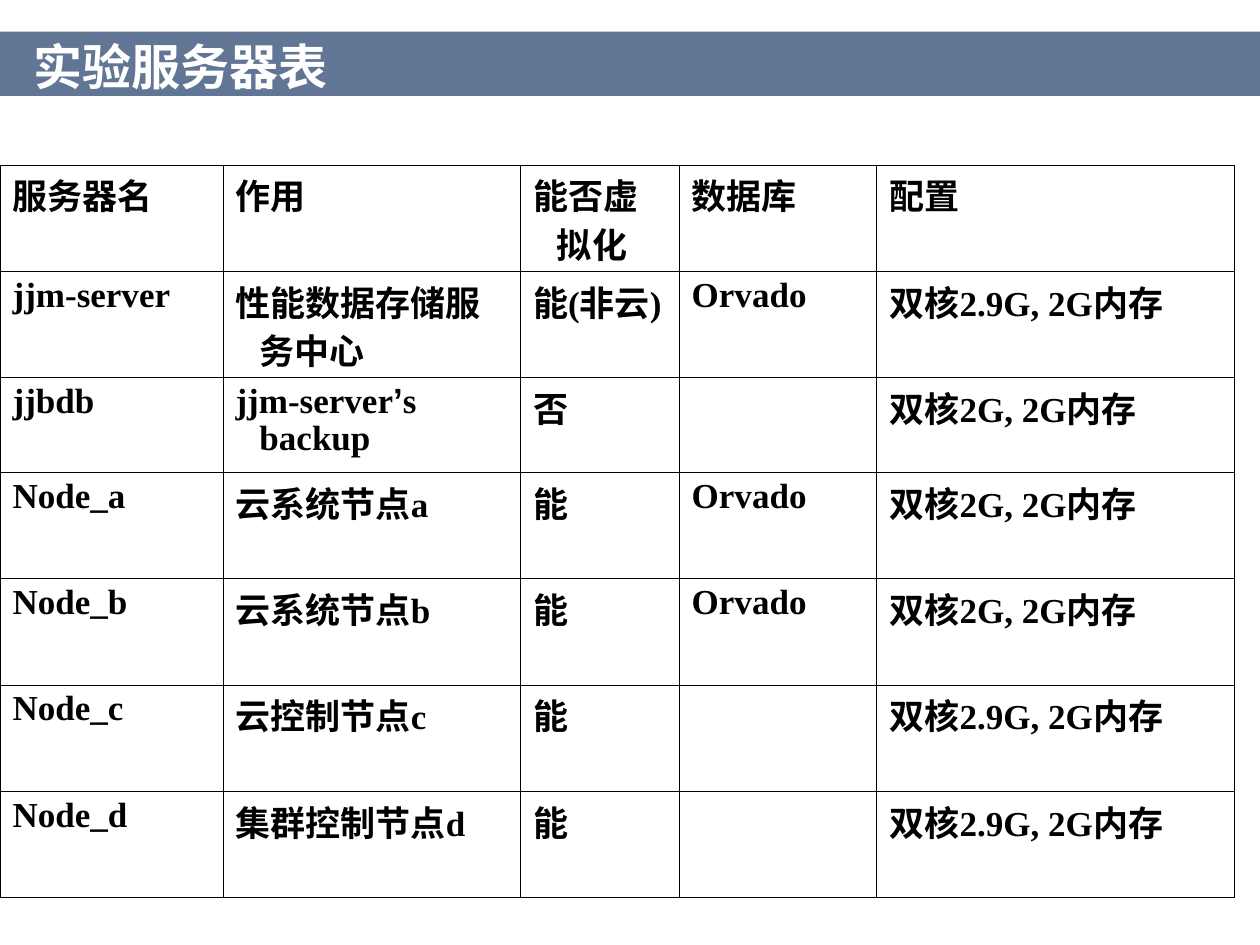
"""Build a slide with a title band and a table of lab servers."""
from lxml.etree import SubElement
from pptx import Presentation
from pptx.dml.color import RGBColor
from pptx.enum.shapes import MSO_CONNECTOR, MSO_SHAPE
from pptx.enum.text import MSO_ANCHOR
from pptx.oxml import parse_xml
from pptx.oxml.ns import nsdecls, qn
from pptx.util import Pt

COLORS = {"band": "617595", "white": "FFFFFF", "black": "000000"}
TITLE = {"name": "Arial", "size": Pt(28), "bold": True}
BODY = {"name": "Times New Roman", "size": Pt(20), "bold": True}
QUOTE = {**BODY, "name": "Arial"}
FRAME = {
    "margin_left": 0, "margin_right": 0, "margin_top": 0, "margin_bottom": 0,
    "word_wrap": True, "vertical_anchor": MSO_ANCHOR.BOTTOM,
}
CELL = {
    "margin_left": Pt(7.2), "margin_right": Pt(7.2),
    "margin_top": Pt(3.6), "margin_bottom": Pt(3.6),
}
FLAGS = {"first_row": False, "horz_banding": False}
WIDTHS = [127.4, 170, 90.7, 113, 204.5]
HEIGHTS = [60.8, 60.8, 54] + [60.8] * 4
INDENT = Pt(13.7)
ROWS = [
    ["服务器名", "作用", "能否虚拟化", "数据库", "配置"],
    ["jjm-server", "性能数据存储服务中心", "能(非云)", "Orvado", "双核2.9G, 2G内存"],
    ["jjbdb", "jjm-server’s backup", "否", "", "双核2G, 2G内存"],
    ["Node_a", "云系统节点a", "能", "Orvado", "双核2G, 2G内存"],
    ["Node_b", "云系统节点b", "能", "Orvado", "双核2G, 2G内存"],
    ["Node_c", "云控制节点c", "能", "", "双核2.9G, 2G内存"],
    ["Node_d", "集群控制节点d", "能", "", "双核2.9G, 2G内存"],
]


def shade(name):
    """Return a named colour."""
    return RGBColor.from_string(COLORS[name])


def apply(item, style):
    """Set each format value on an item."""
    for key, value in style.items():
        setattr(item, key, value)


def add_run(para, text, style, color):
    """Add one formatted run to a paragraph."""
    run = para.add_run()
    run.text = text
    apply(run.font, style)
    run.font.color.rgb = shade(color)


def add_band(slide):
    """Draw the title band and the line along its lower edge."""
    band = slide.shapes.add_shape(MSO_SHAPE.RECTANGLE, 0, Pt(18), Pt(720), Pt(37.4))
    band.shadow.inherit = False
    band.fill.solid()
    band.fill.fore_color.rgb = shade("band")
    band.line.fill.background()
    edge = slide.shapes.add_connector(
        MSO_CONNECTOR.STRAIGHT, Pt(720), Pt(55.4), 0, Pt(55.4))
    edge.line.color.rgb = shade("white")
    edge.line.width = Pt(1.25)
    SubElement(edge._element.spPr, qn("a:effectLst"))


def add_title(slide, text):
    """Write the title on the band."""
    box = slide.shapes.add_textbox(Pt(19.4), Pt(24.5), Pt(651), Pt(30.2))
    apply(box.text_frame, FRAME)
    para = box.text_frame.paragraphs[0]
    para.line_spacing = 0.9
    add_run(para, text, TITLE, "white")


def add_rule(cell):
    """Draw a thin border on all four sides of a cell."""
    props = cell._tc.get_or_add_tcPr()
    for place, side in enumerate("LRTB"):
        props.insert(place, parse_xml(
            f'<a:ln{side} {nsdecls("a")} w="{Pt(0.45)}"><a:solidFill>'
            f'<a:srgbClr val="{COLORS["black"]}"/></a:solidFill></a:ln{side}>'))


def fill_cell(cell, text):
    """Write and format one table cell."""
    apply(cell, CELL)
    cell.fill.background()
    add_rule(cell)
    para = cell.text_frame.paragraphs[0]
    para.line_spacing = 0.95
    props = para._p.get_or_add_pPr()
    props.set("marL", str(INDENT))
    props.set("indent", str(-INDENT))
    for part in filter(None, text.partition("’")):
        add_run(para, part, QUOTE if part == "’" else BODY, "black")


def add_grid(slide):
    """Add the server table."""
    frame = slide.shapes.add_table(
        len(ROWS), len(WIDTHS), 0, Pt(94.3), Pt(sum(WIDTHS)), Pt(sum(HEIGHTS)))
    table = frame.table
    apply(table, FLAGS)
    for col, width in zip(table.columns, WIDTHS):
        col.width = Pt(width)
    for row, height, texts in zip(table.rows, HEIGHTS, ROWS):
        row.height = Pt(height)
        for cell, text in zip(row.cells, texts):
            fill_cell(cell, text)


def main():
    """Build and save the slide."""
    deck = Presentation()
    apply(deck, {"slide_width": Pt(720), "slide_height": Pt(540)})
    slide = deck.slides.add_slide(deck.slide_layouts[6])
    add_band(slide)
    add_title(slide, "实验服务器表")
    add_grid(slide)
    deck.save("out.pptx")


if __name__ == "__main__":
    main()
